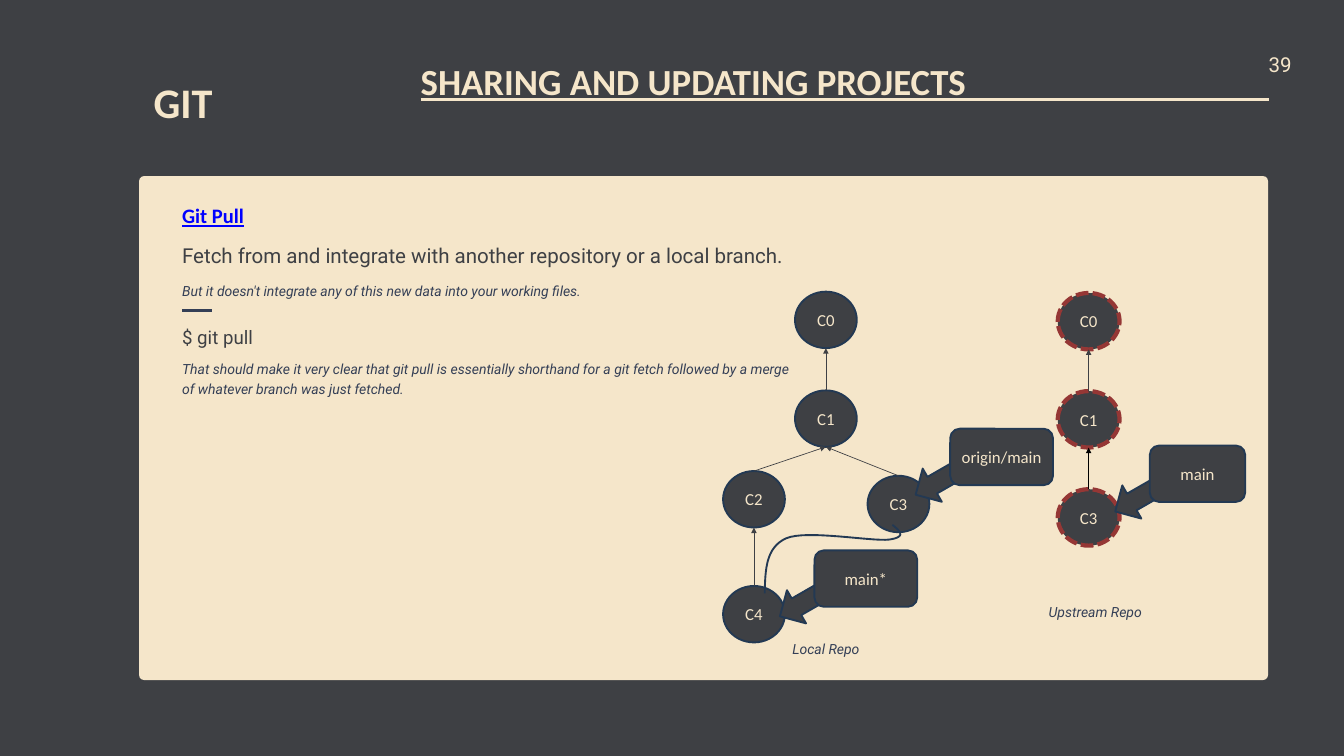
from lxml.etree import SubElement
from pptx import Presentation
from pptx.dml.color import RGBColor
from pptx.enum.dml import MSO_LINE
from pptx.enum.shapes import MSO_CONNECTOR, MSO_SHAPE
from pptx.enum.text import MSO_ANCHOR, PP_ALIGN
from pptx.oxml.ns import qn
from pptx.util import Inches, Pt

DARK = RGBColor(0x3E, 0x40, 0x44)
CREAM = RGBColor(0xF5, 0xE6, 0xCA)
NAVY = RGBColor(0x23, 0x39, 0x53)
SLATE = RGBColor(0x34, 0x3F, 0x56)
RED = RGBColor(0x95, 0x37, 0x35)
BLUE = RGBColor(0x00, 0x00, 0xFF)
BLACK = RGBColor(0x00, 0x00, 0x00)
NODE_W, NODE_H = 0.92, 0.84
NOTE = dict(size=15, color=SLATE, italic=True)


def write(tf, text, size=18, font="Calibri", color=CREAM, bold=False, italic=False,
          underline=False, align=PP_ALIGN.LEFT, spacing=None):
    """Put one formatted paragraph in a text frame."""
    tf.word_wrap = True
    p = tf.paragraphs[0]
    p.alignment = align
    if spacing:
        p.line_spacing = Pt(spacing)
    r = p.add_run()
    r.text = text
    r.font.name, r.font.size = font, Pt(size)
    r.font.bold, r.font.italic, r.font.underline = bold, italic, underline
    r.font.color.rgb = color


def add_text(s, box, text, size, font="Roboto", **fmt):
    """Add a text box without margins, its line pitch 1.4 times the size."""
    tf = s.shapes.add_textbox(*map(Inches, box)).text_frame
    tf.margin_left = tf.margin_right = tf.margin_top = tf.margin_bottom = 0
    write(tf, text, size, font, spacing=round(size * 1.4, 1), **fmt)


def add_shape(s, kind, box, text=None, fill=DARK, line=NAVY, width=2):
    """Add a filled preset shape with an optional centred label."""
    sp = s.shapes.add_shape(kind, *map(Inches, box))
    sp.shadow.inherit = False
    sp.fill.solid()
    sp.fill.fore_color.rgb = fill
    if line is None:
        sp.line.fill.background()
    else:
        sp.line.color.rgb = line
        sp.line.width = Pt(width)
    if text:
        sp.text_frame.vertical_anchor = MSO_ANCHOR.MIDDLE
        write(sp.text_frame, text, align=PP_ALIGN.CENTER)
    return sp


def add_line(s, start, end, color=DARK, width=0.75, arrow=False):
    """Add a straight line, with an arrowhead at its end if asked."""
    c = s.shapes.add_connector(MSO_CONNECTOR.STRAIGHT, *map(Inches, (*start, *end)))
    c.line.color.rgb = color
    c.line.width = Pt(width)
    if arrow:
        SubElement(c.line._get_or_add_ln(), qn("a:tailEnd"), type="triangle")
    SubElement(c._element.spPr, qn("a:effectLst"))


def add_commit(s, left, top, name, remote=False):
    """Add a commit circle, dashed red if it is on the remote."""
    style = dict(line=RED, width=4.5) if remote else {}
    sp = add_shape(s, MSO_SHAPE.OVAL, (left, top, NODE_W, NODE_H), name, **style)
    if remote:
        sp.line.dash_style = MSO_LINE.SQUARE_DOT


def add_parent_link(s, child, parent, color=DARK):
    """Point from the top of a child commit to the bottom of its parent."""
    add_line(s, (child[0] + NODE_W / 2, child[1]),
             (parent[0] + NODE_W / 2, parent[1] + NODE_H), color, arrow=True)


def add_branch_tag(s, left, top, width, name):
    """Add a branch label with a block arrow down to its commit."""
    arrow = add_shape(s, MSO_SHAPE.RIGHT_ARROW, (left - 0.57, top + 0.49, 0.83, 0.57))
    arrow.rotation = 150.1
    add_shape(s, MSO_SHAPE.ROUNDED_RECTANGLE, (left, top, width, 0.84), name)


def add_curve(s, start, segments, steps=16):
    """Draw a chain of cubic curves as one open outline."""
    points, p0 = [], start
    for p1, p2, p3 in segments:
        for t in (i / steps for i in range(1, steps + 1)):
            u = 1 - t
            points.append(tuple(
                Inches(u**3 * a + 3 * u * u * t * b + 3 * u * t * t * c + t**3 * d)
                for a, b, c, d in zip(p0, p1, p2, p3)))
        p0 = p3
    fb = s.shapes.build_freeform(*map(Inches, start))
    fb.add_line_segments(points, close=False)
    sp = fb.convert_to_shape()
    sp.shadow.inherit = False
    sp.fill.background()
    sp.line.color.rgb = NAVY
    sp.line.width = Pt(2)


def add_header(s, left, top, width):
    """Place topic, title, rule and page number."""
    right = left + width
    add_text(s, (left, top + 0.3, 1.31, 0.88), "GIT", 45.1, "Calibri", bold=True,
             align=PP_ALIGN.CENTER)
    add_line(s, (left + 4.19, top + 0.77), (right, top + 0.77), CREAM, 3)
    add_text(s, (left + 4.19, top + 0.06, 12.61, 0.66), "SHARING AND UPDATING PROJECTS",
             39.4, "Calibri", bold=True)
    add_text(s, (right, top, 0.38, 0.4), "39", 22)


def add_explanation(s, left, top):
    """Place the command's name, purpose, syntax and remarks."""
    add_text(s, (left, top, 4.04, 0.37), "Git Pull", 22, "Calibri", color=BLUE, bold=True,
             underline=True)
    add_text(s, (left, top + 0.59, 15.37, 0.4),
             "Fetch from and integrate with another repository or a local branch.", 22,
             color=DARK)
    add_text(s, (left, top + 1.2, 9.79, 0.27),
             "But it doesn't integrate any of this new data into your working files.", **NOTE)
    add_line(s, (left, top + 1.66), (left + 0.44, top + 1.66), SLATE, 3)
    add_text(s, (left, top + 1.83, 9.81, 0.36), "$ git pull", 20, color=DARK,
             align=PP_ALIGN.JUSTIFY)
    add_text(s, (left, top + 2.37, 9.12, 0.57),
             "That should make it very clear that git pull is essentially shorthand for a git "
             "fetch followed by a merge of whatever branch was just fetched.", **NOTE)


def add_local_repo(s, left, top):
    """Place the local commit graph with its merge curve and tags."""
    offsets = {"C0": (1.07, 0), "C1": (1.07, 1.47), "C2": (0, 2.67),
               "C3": (2.15, 2.74), "C4": (0, 4.38)}
    at = {name: (left + x, top + y) for name, (x, y) in offsets.items()}
    for name, place in at.items():
        add_commit(s, *place, name)
    for child, parent in (("C1", "C0"), ("C2", "C1"), ("C3", "C1"), ("C4", "C2")):
        add_parent_link(s, at[child], at[parent])
    add_branch_tag(s, left + 3.38, top + 2.04, 1.53, "origin/main")
    add_branch_tag(s, left + 1.36, top + 3.85, 1.53, "main*")
    curve = [((0.63, 4.15), (0.63, 3.81), (0.94, 3.67)),
             ((1.25, 3.54), (2.21, 3.72), (2.47, 3.69)),
             ((2.74, 3.65), (2.63, 3.56), (2.52, 3.47))]
    add_curve(s, (left + 0.62, top + 4.49),
              [[(left + x, top + y) for x, y in seg] for seg in curve])
    add_text(s, (left + 0.83, top + 5.15, 1.4, 0.27), "Local Repo",
             align=PP_ALIGN.CENTER, **NOTE)


def add_upstream_repo(s, left, top):
    """Place the upstream column of commits with its tag."""
    names = ("C0", "C1", "C3")
    places = [(left, top + 1.46 * i) for i in range(len(names))]
    for name, place in zip(names, places):
        add_commit(s, *place, name, remote=True)
    for child, parent, color in zip(places[1:], places, (DARK, BLACK)):
        add_parent_link(s, child, parent, color)
    add_branch_tag(s, left + 1.37, top + 2.27, 1.42, "main")
    add_text(s, (left - 0.14, top + 4.58, 1.4, 0.27), "Upstream Repo",
             align=PP_ALIGN.CENTER, **NOTE)


def main():
    """Build the slide and save it."""
    prs = Presentation()
    prs.slide_width, prs.slide_height = Inches(20), Inches(11.25)
    s = prs.slides.add_slide(prs.slide_layouts[6])
    s.background.fill.solid()
    s.background.fill.fore_color.rgb = DARK
    panel = add_shape(s, MSO_SHAPE.ROUNDED_RECTANGLE, (2.07, 2.62, 16.8, 7.5),
                      fill=CREAM, line=None)
    panel.adjustments[0] = 0.01
    add_header(s, 2.07, 0.71, 16.81)
    add_explanation(s, 2.71, 2.96)
    add_local_repo(s, 10.76, 4.34)
    add_upstream_repo(s, 15.74, 4.36)
    prs.save("out.pptx")


if __name__ == "__main__":
    main()
